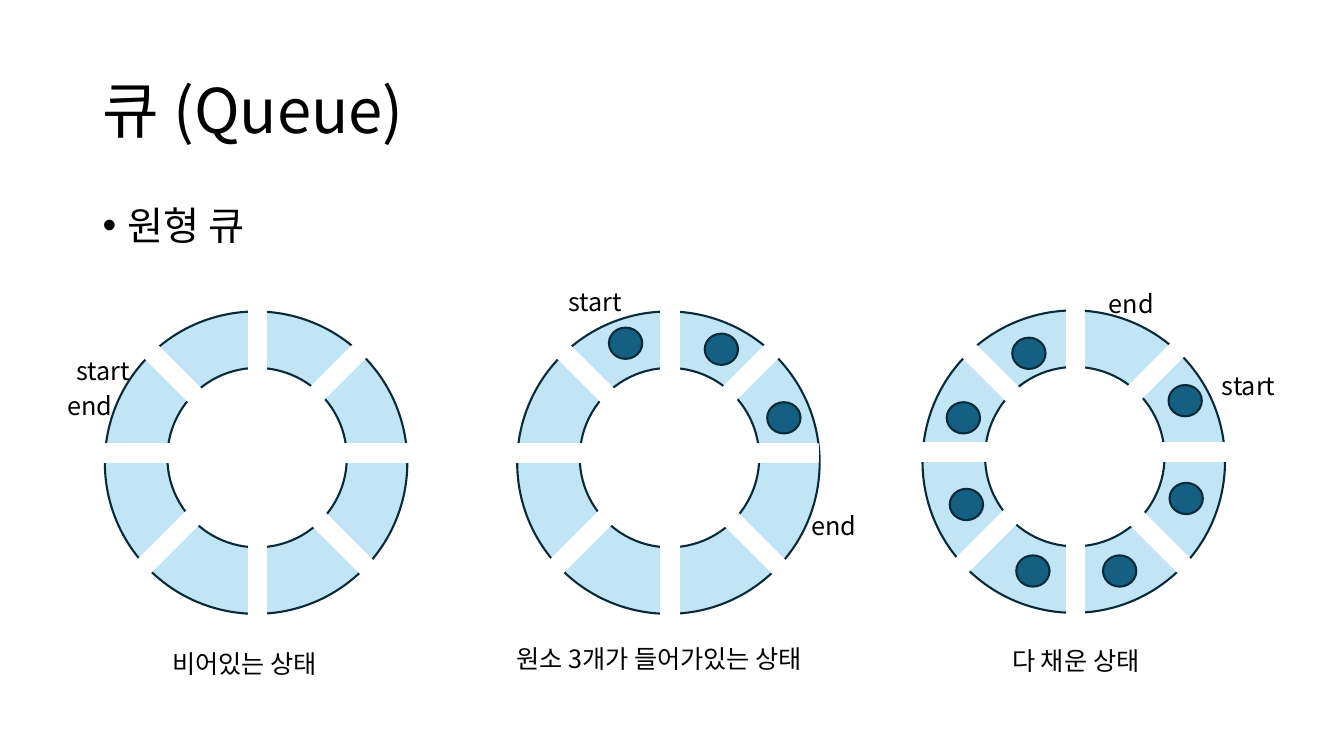
"""Build a slide showing a circular queue when empty, holding three items and full."""
from pptx import Presentation, util as u
from pptx.dml.color import RGBColor
from pptx.enum import shapes, text
from pptx.oxml.ns import qn
from lxml import etree

PX = 9144
FONT = "Noto Sans CJK KR"
COLORS = {"ring": "C1E5F5", "edge": "092A39", "item": "156082", "paper": "FFFFFF", "ink": "000000"}

prs = Presentation()
prs.slide_width, prs.slide_height = 1333 * PX, 750 * PX
slide = prs.slides.add_slide(prs.slide_layouts[6])


def add_figure(kind, box, fill, line, angle=0):
    figure = slide.shapes.add_shape(kind, *(n * PX for n in box))
    figure.shadow.inherit = False
    figure.rotation = angle
    figure.fill.solid()
    figure.fill.fore_color.rgb = RGBColor.from_string(COLORS[fill])
    figure.line.color.rgb = RGBColor.from_string(COLORS[line])
    figure.line.width = u.Pt(1.5)


def add_words(words, box, size=18, anchor=text.MSO_ANCHOR.TOP):
    frame = slide.shapes.add_textbox(*(n * PX for n in box)).text_frame
    frame.word_wrap = True
    frame.vertical_anchor = anchor
    paragraph = frame.paragraphs[0]
    run = paragraph.add_run()
    run.text = words
    run.font.size = u.Pt(size)
    run.font.name = FONT
    run.font.color.rgb = RGBColor.from_string(COLORS["ink"])
    etree.SubElement(run.font._element, qn("a:ea")).set("typeface", FONT)
    return paragraph


title = add_words("큐 (Queue)", (92, 40, 1150, 145), 44, text.MSO_ANCHOR.MIDDLE)
title.line_spacing = 0.9

topic = add_words("원형 큐", (92, 200, 1150, 476), 28)
topic.line_spacing = 0.9
topic.space_before = u.Pt(10)
topic_format = topic._p.get_or_add_pPr()
topic_format.set("marL", str(25 * PX))
topic_format.set("indent", str(-25 * PX))
etree.SubElement(topic_format, qn("a:buFont")).set("typeface", "Arial")
etree.SubElement(topic_format, qn("a:buChar")).set("char", "•")

LABEL_WIDTHS = {"start": 82, "end": 69}
GAPS = [(0, -22), (135, -27), (45, -32), (90, -32)]
queues = [
    {"ring": (104, 309), "level_shift": 0,
     "caption": ("비어있는 상태", 161, 638, 186),
     "labels": [("start", 66, 348), ("end", 57, 382)],
     "items": []},
    {"ring": (513, 309), "level_shift": -26,
     "caption": ("원소 3개가 들어가있는 상태", 502, 633, 341),
     "labels": [("start", 554, 279), ("end", 795, 501)],
     "items": [(604, 325), (699, 331), (761, 399)]},
    {"ring": (915, 308), "level_shift": 0,
     "caption": ("다 채운 상태", 994, 635, 181),
     "labels": [("end", 1090, 281), ("start", 1202, 362)],
     "items": [(1004, 335), (939, 399), (942, 485), (1008, 551),
               (1094, 551), (1160, 479), (1159, 382)]},
]

OVAL, BAR = shapes.MSO_SHAPE.OVAL, shapes.MSO_SHAPE.RECTANGLE
for queue in queues:
    left, top = queue["ring"]
    add_figure(OVAL, (left, top, 300, 300), "ring", "edge")
    add_figure(OVAL, (left + 62, top + 56, 178, 178), "paper", "edge")
    for angle, rise in GAPS:
        shift = queue["level_shift"] if angle == 90 else 0
        add_figure(BAR, (left + 143 + shift, top + rise, 17, 345), "paper", "paper", angle)
    for label, x, y in queue["labels"]:
        add_words(label, (x, y, LABEL_WIDTHS[label], 40))
    for x, y in queue["items"]:
        add_figure(OVAL, (x, y, 33, 31), "item", "edge")
    caption, x, y, width = queue["caption"]
    add_words(caption, (x, y, width, 40))

prs.save("out.pptx")
